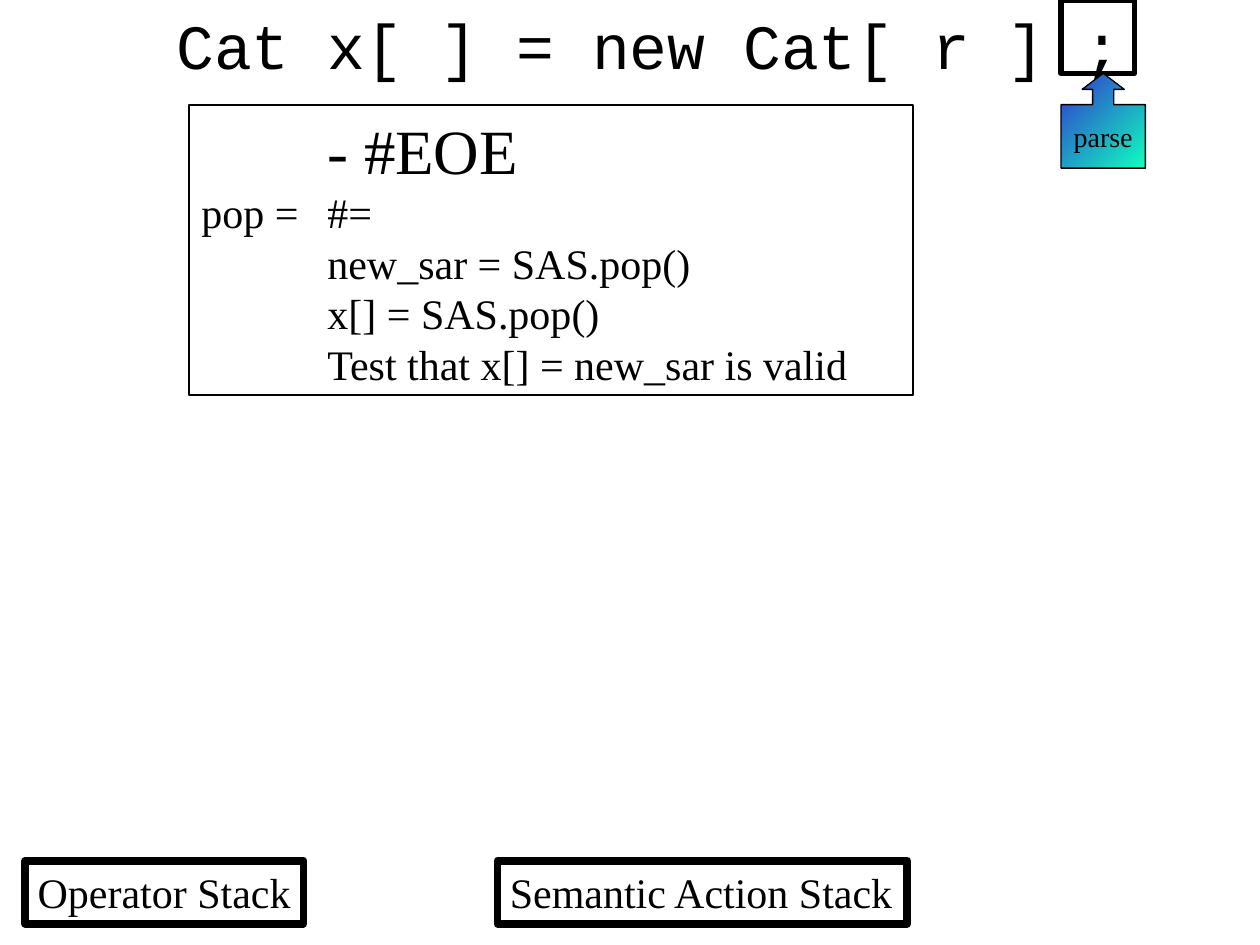
from dataclasses import dataclass

from lxml import etree
from pptx import Presentation
from pptx import util as u
from pptx.dml.color import RGBColor
from pptx.enum import shapes, text
from pptx.oxml.ns import qn


@dataclass(frozen=True)
class Theme:
    ink: RGBColor = RGBColor(0, 0, 0)
    gradient: tuple = (RGBColor(0x33, 0x33, 0xCC), RGBColor(0x0F, 0xFF, 0xC0))
    code: str = "Courier New"
    body: str = "Times New Roman"
    large: int = 36
    normal: int = 24
    small: int = 16


class Deck:
    """Builds the slide from a theme and a few kinds of element."""

    def __init__(self, theme):
        self.theme = theme
        self.prs = Presentation()
        self.prs.slide_width, self.prs.slide_height = u.Cm(25.4), u.Cm(19.05)
        self.s = self.prs.slides.add_slide(self.prs.slide_layouts[6])

    def add_lines(self, sp, lines, font=None, align=text.PP_ALIGN.LEFT,
                  anchor=text.MSO_ANCHOR.TOP, wrap=True, tab=None):
        tf = sp.text_frame
        frame = {"word_wrap": wrap, "vertical_anchor": anchor}
        for name, value in frame.items():
            setattr(tf, name, value)
        for i, (line, size) in enumerate(lines):
            p = tf.add_paragraph() if i else tf.paragraphs[0]
            p.alignment = align
            if tab:
                tabs = etree.SubElement(p._p.get_or_add_pPr(), qn("a:tabLst"))
                etree.SubElement(tabs, qn("a:tab"), pos=str(tab), algn="l")
            r = p.add_run()
            r.text = line
            style = {"name": font or self.theme.body, "size": u.Pt(size)}
            for name, value in style.items():
                setattr(r.font, name, value)
            r.font.color.rgb = self.theme.ink

    def heading(self, box, line):
        sp = self.s.shapes.add_textbox(*map(u.Cm, box))
        self.add_lines(sp, [(line, self.theme.large)], self.theme.code,
                       text.PP_ALIGN.CENTER)

    def outline(self, box, weight, lines=(), kind=shapes.MSO_SHAPE.RECTANGLE,
                **layout):
        sp = self.s.shapes.add_shape(kind, *map(u.Cm, box))
        sp.shadow.inherit = False
        sp.fill.background()
        sp.line.color.rgb = self.theme.ink
        sp.line.width = u.Pt(weight)
        self.add_lines(sp, lines, **layout)
        return sp

    def callout(self, box, line):
        sp = self.outline(box, 0.75, [(line, self.theme.small)],
                          shapes.MSO_SHAPE.UP_ARROW_CALLOUT, wrap=False,
                          align=text.PP_ALIGN.CENTER,
                          anchor=text.MSO_ANCHOR.MIDDLE)
        for i, value in enumerate((0.25, 0.25, 0.19, 0.67)):
            sp.adjustments[i] = value
        sp.fill.gradient()
        sp.fill.gradient_angle = 315
        for stop, color in zip(sp.fill.gradient_stops, self.theme.gradient):
            stop.color.rgb = color

    def save(self):
        self.prs.save("out.pptx")


def main():
    theme = Theme()
    deck = Deck(theme)
    deck.heading((0, 0, 25.4, 1.78), " Cat x[ ] = new Cat[ r ] ;")
    for left, width, label in ((0.51, 5.61, "Operator Stack"),
                               (10.03, 8.26, "Semantic Action Stack")):
        deck.outline((left, 17.35, width, 1.27), 4.5,
                     [(label, theme.normal)], wrap=False)
    deck.outline((21.39, 0, 1.48, 1.48), 3)
    deck.callout((21.39, 1.48, 1.7, 1.91), "parse")
    steps = ("pop =\t#=", "\tnew_sar = SAS.pop()", "\tx[] = SAS.pop()",
             "\tTest that x[] = new_sar is valid")
    deck.outline((3.81, 2.12, 14.6, 5.84), 1,
                 [("\t- #EOE", theme.large)]
                 + [(step, theme.normal) for step in steps], tab=u.Cm(2.54))
    deck.save()


if __name__ == "__main__":
    main()
